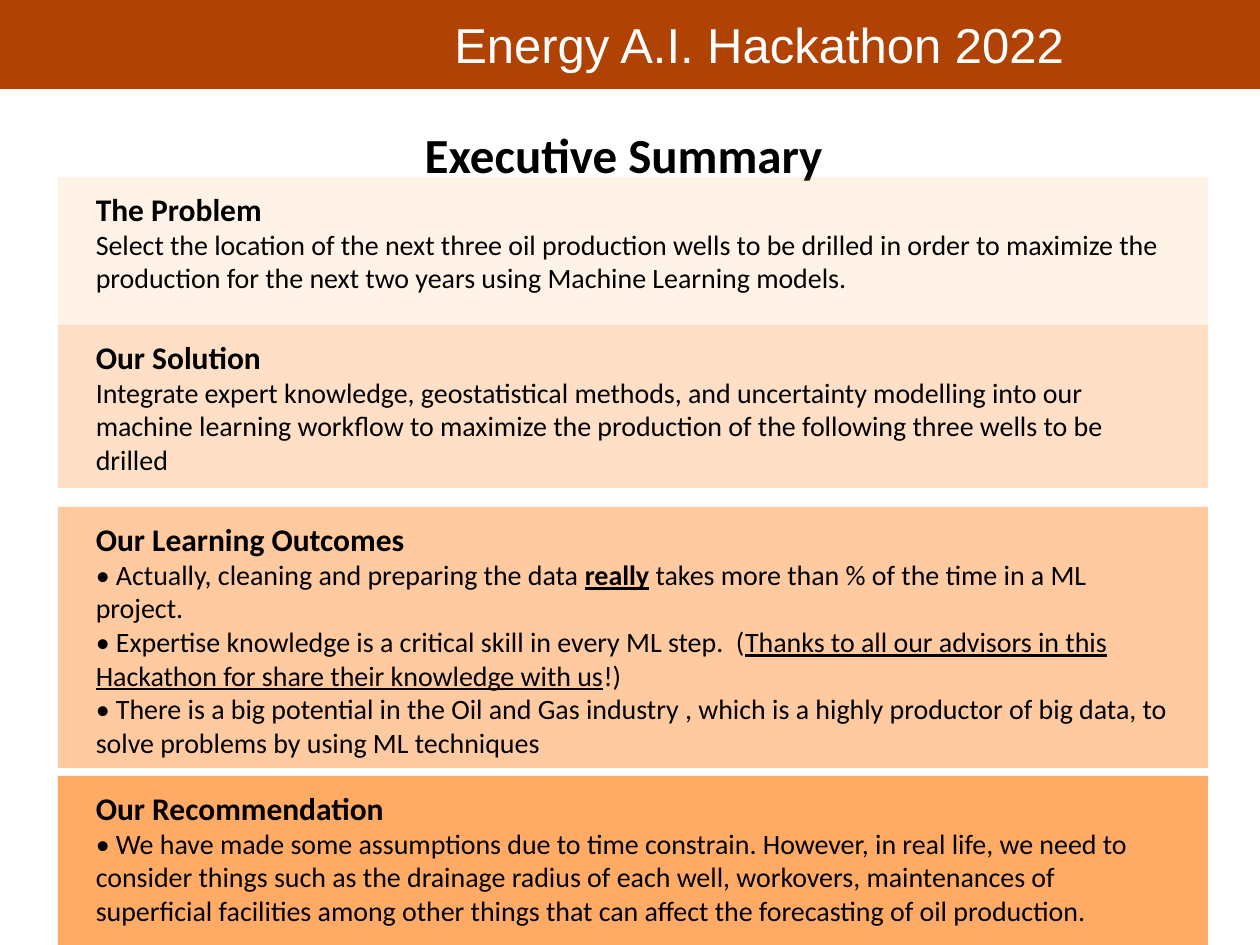
from lxml import etree
from pptx import Presentation
from pptx import util as u
from pptx.dml.color import RGBColor
from pptx.enum import shapes, text
from pptx.oxml.ns import qn

COLORS = {"banner": "B04304", "section": "FF9740", "ink": "000000", "light": "FFFFFF"}
SCALE = u.Inches(1) / 126


def px(length):
    return u.Emu(round(length * SCALE))


def style(font, face, size, color, bold=False):
    font.name = face
    font.size = u.Pt(size)
    font.bold = bold
    font.color.rgb = RGBColor.from_string(COLORS[color])


sections = [
    (177, 148, 12, "The Problem", [
        [("Select the location of the next three oil production wells to be drilled in order "
          "to maximize the production for the next two years using Machine Learning models.", "")],
    ]),
    (325, 163, 30, "Our Solution", [
        [("Integrate expert knowledge, geostatistical methods, and uncertainty modelling into our "
          "machine learning workflow to maximize the production of the following three wells "
          "to be drilled", "")],
    ]),
    (507, 261, 50, "Our Learning Outcomes", [
        [("• Actually, cleaning and preparing the data ", ""), ("really", "bu"),
         (" takes more than % of the time in a ML project.", "")],
        [("• Expertise knowledge is a critical skill in every ML step.  (", ""),
         ("Thanks to all our advisors in this Hackathon for share their knowledge with us", "u"),
         ("!)", "")],
        [("• There is a big potential in the Oil and Gas industry , which is a highly productor "
          "of big data, to solve problems by using ML techniques", "")],
    ]),
    (776, 169, 80, "Our Recommendation", [
        [("• We have made some assumptions due to time constrain. However, in real life, we need "
          "to consider things such as the drainage radius of each well, workovers, maintenances "
          "of superficial facilities among other things that can affect the forecasting of "
          "oil production.", "")],
    ]),
]

prs = Presentation()
prs.slide_width = px(1260)
prs.slide_height = px(945)
slide = prs.slides.add_slide(prs.slide_layouts[5])

banner = slide.shapes.add_shape(shapes.MSO_SHAPE.RECTANGLE, px(0), px(-1), px(1260), px(90))
banner.shadow.inherit = False
banner.fill.solid()
banner.fill.fore_color.rgb = RGBColor.from_string(COLORS["banner"])
banner.line.fill.background()

event = slide.shapes.add_textbox(px(442), px(8), px(643), px(72))
event.text_frame.word_wrap = False
event.text_frame.auto_size = text.MSO_AUTO_SIZE.SHAPE_TO_FIT_TEXT
event.text_frame.text = "Energy A.I. Hackathon 2022"
style(event.text_frame.paragraphs[0].font, "Arial", 28, "light")

heading = slide.shapes.title
heading.left, heading.top, heading.width, heading.height = px(69), px(118), px(1109), px(72)
heading.text_frame.text = "Executive Summary"
heading.text_frame.word_wrap = True
heading.text_frame.auto_size = text.MSO_AUTO_SIZE.SHAPE_TO_FIT_TEXT
heading.text_frame.vertical_anchor = text.MSO_ANCHOR.TOP
heading.text_frame.paragraphs[0].alignment = text.PP_ALIGN.CENTER
style(heading.text_frame.paragraphs[0].font, "Calibri", 28, "ink", True)

for top, height, opacity, topic, points in sections:
    section = slide.shapes.add_shape(
        shapes.MSO_SHAPE.RECTANGLE, px(58), px(top), px(1150), px(height))
    section.shadow.inherit = False
    section.line.fill.background()
    section.fill.solid()
    section.fill.fore_color.rgb = RGBColor.from_string(COLORS["section"])
    tint = section.fill._xPr.find(qn("a:solidFill"))[0]
    etree.SubElement(tint, qn("a:alpha")).set("val", str(opacity * 1000))

    body = section.text_frame
    body.word_wrap = True
    body.vertical_anchor = text.MSO_ANCHOR.TOP
    body.margin_left = body.margin_right = u.Inches(0.3)
    body.margin_top = body.margin_bottom = u.Inches(0.1)
    body.text = topic
    body.paragraphs[0].alignment = text.PP_ALIGN.LEFT
    style(body.paragraphs[0].font, "Calibri", 18, "ink", True)

    for point in points:
        paragraph = body.add_paragraph()
        paragraph.alignment = text.PP_ALIGN.LEFT
        style(paragraph.font, "Calibri", 16, "ink")
        for words, marks in point:
            run = paragraph.add_run()
            run.text = words
            if "b" in marks:
                run.font.bold = True
            if "u" in marks:
                run.font.underline = True

prs.save("out.pptx")
